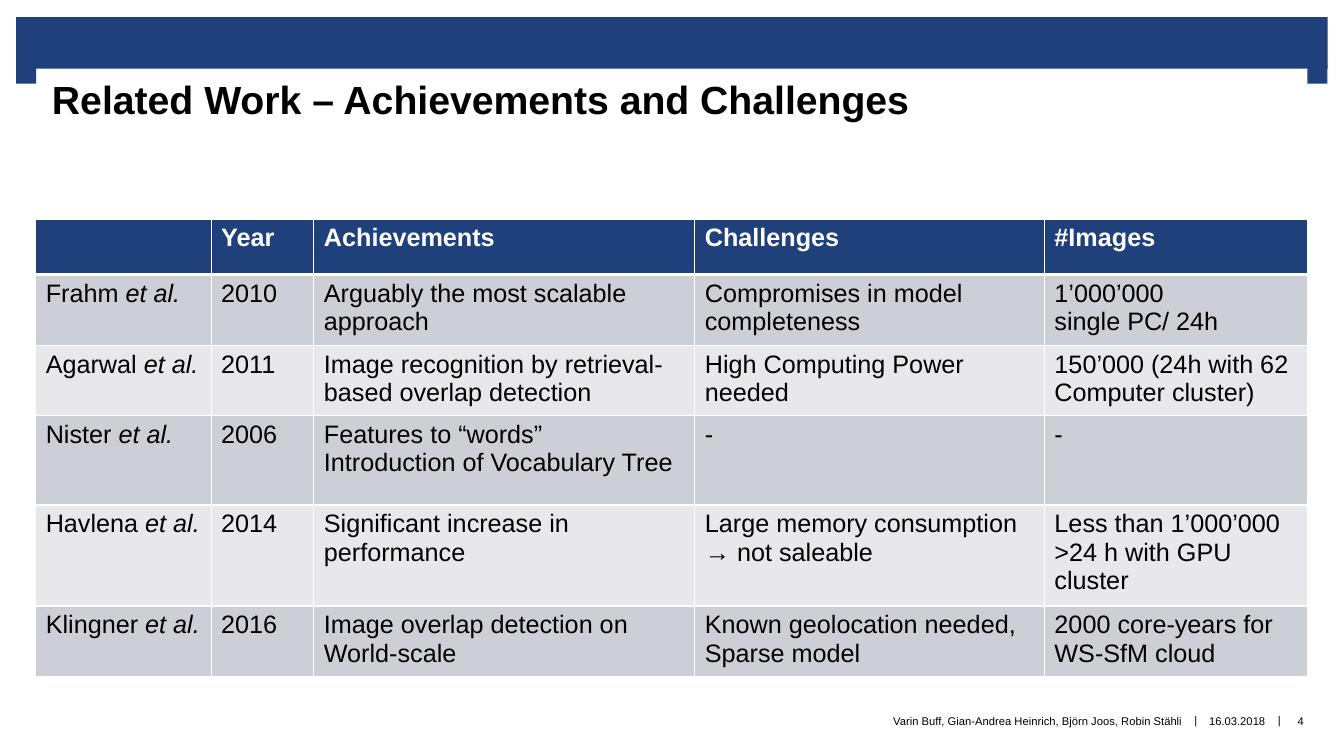
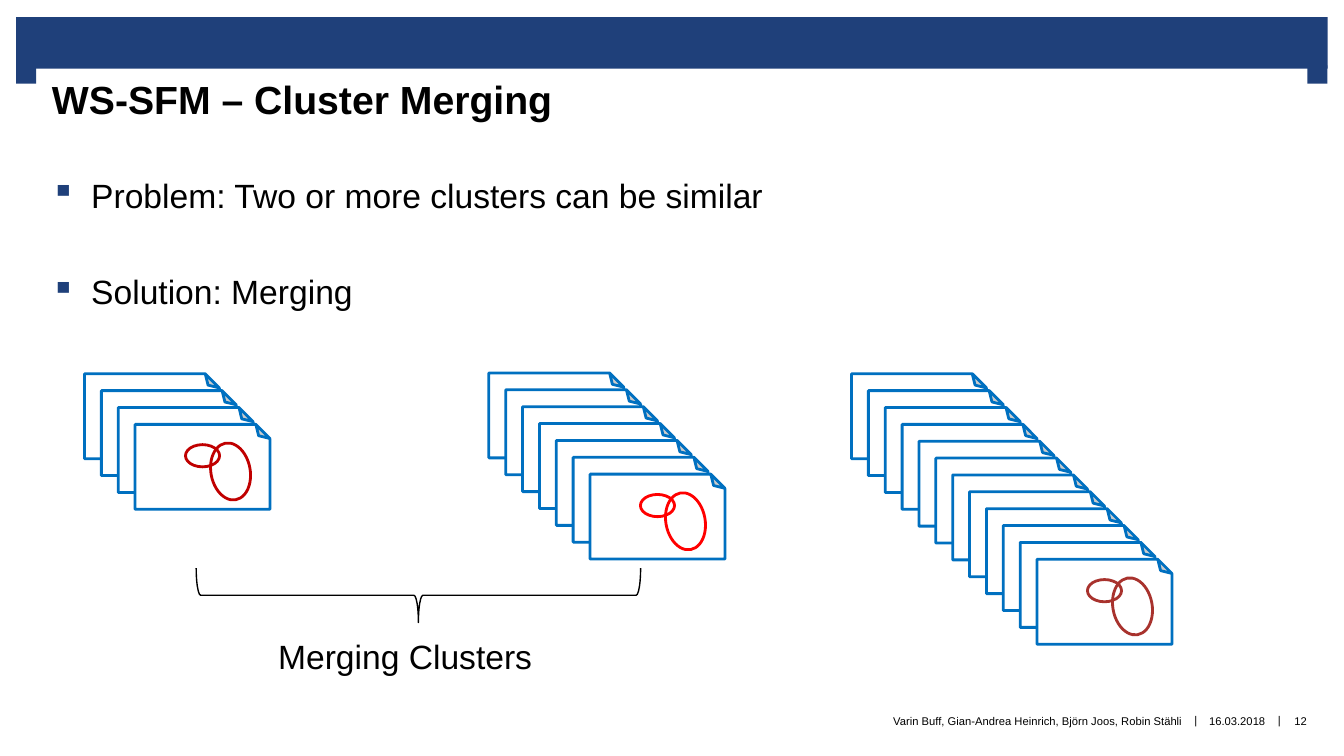
from dataclasses import dataclass

from lxml.etree import SubElement
from pptx import Presentation
from pptx.dml.color import RGBColor as Rgb
from pptx.enum.shapes import MSO_SHAPE as Form
from pptx.enum.text import MSO_ANCHOR as Anchor, PP_ALIGN as Align
from pptx.oxml import parse_xml
from pptx.oxml.ns import nsdecls, qn
from pptx.util import Cm, Pt


@dataclass(frozen=True)
class Theme:
    face: str = "Arial"
    navy: str = "1F407A"
    white: str = "FFFFFF"
    black: str = "000000"
    dark: str = "CDCFD7"
    light: str = "E8E8EC"
    blue: str = "0070C0"
    head: int = 28
    body: int = 24
    cell: int = 18
    foot: int = 8


T = Theme()
LEFT, WIDE = 0.9, 32.05
BANDS = [(0.41, 0.43, 33.05, 1.3), (0.41, 1.65, 0.5, 0.46), (32.95, 1.65, 0.5, 0.46)]
NAMES = "Varin Buff, Gian-Andrea Heinrich, Björn Joos, Robin Stähli"
DATE = "16.03.2018"
COLS = [4.42, 2.59, 9.6, 8.81, 6.63]
ROWS = [1.4, 1.6, 1.6, 2.25, 1.6, 1.6]
HEADS = ["", "Year", "Achievements", "Challenges", "#Images"]
WORKS = [
    ["Frahm ", "2010", "Arguably the most scalable approach",
     "Compromises in model completeness", "1’000’000\nsingle PC/ 24h"],
    ["Agarwal ", "2011", "Image recognition by retrieval-based overlap detection",
     "High Computing Power needed", "150’000 (24h with 62 Computer cluster)"],
    ["Nister ", "2006", "Features to “words”\nIntroduction of Vocabulary Tree", "-", "-"],
    ["Havlena ", "2014", "Significant increase in performance",
     "Large memory consumption → not saleable",
     "Less than 1’000’000\n>24 h with GPU cluster"],
    ["Klingner ", "2016", "Image overlap detection on World-scale",
     "Known geolocation needed,\nSparse model", "2000 core-years for WS-SfM cloud"],
]
STACKS = [(2.13, 9.42, 4, "C00000"), (12.32, 9.4, 7, "FF0000"), (21.46, 9.42, 12, "A8322D")]
STEP = 0.425


def place(box):
    return [Cm(v) for v in box]


def style(para, size, tint=T.black, bold=False):
    font = para.font
    font.name, font.size, font.bold = T.face, Pt(size), bold
    font.color.rgb = Rgb.from_string(tint)


def inset(frame, left=0.0, top=0.0, right=0.0):
    frame.margin_left, frame.margin_top = Cm(left), Cm(top)
    frame.margin_right, frame.margin_bottom = Cm(right), 0


def shape(slide, form, box, fill=None, line=None, width=2, turn=0):
    item = slide.shapes.add_shape(form, *place(box))
    item.shadow.inherit = False
    item.rotation = turn
    if fill:
        item.fill.solid()
        item.fill.fore_color.rgb = Rgb.from_string(fill)
    else:
        item.fill.background()
    if line:
        item.line.color.rgb = Rgb.from_string(line)
        item.line.width = Pt(width)
    else:
        item.line.fill.background()
    return item


def label(slide, text, box, align=Align.CENTER):
    frame = slide.shapes.add_textbox(*place(box)).text_frame
    frame.word_wrap = False
    frame.vertical_anchor = Anchor.MIDDLE
    inset(frame)
    frame.text = text
    para = frame.paragraphs[0]
    para.alignment = align
    style(para, T.foot)


def text(slide, lines, box, mark=False, gap=0):
    frame = slide.shapes.add_textbox(*place(box)).text_frame
    frame.word_wrap = True
    inset(frame, 0.38, 0, 0.41)
    frame.text = "\n".join(lines)
    for i, para in enumerate(frame.paragraphs):
        if mark:
            bullet(para)
        if i:
            para.space_before = Pt(gap)
        style(para, T.body)


def bullet(para):
    props = para._p.get_or_add_pPr()
    props.set("marL", str(Cm(1.02)))
    props.set("indent", str(-Cm(1.02)))
    tint = SubElement(props, qn("a:buClr"))
    SubElement(tint, qn("a:srgbClr"), val=T.navy)
    SubElement(props, qn("a:buChar"), char="▪")


def border(cell, top, base):
    props = cell._tc.get_or_add_tcPr()
    edges = [("L", 1), ("R", 1), ("T", top), ("B", base)]
    for i, (side, width) in enumerate(edges):
        props.insert(i, parse_xml(
            f'<a:ln{side} {nsdecls("a")} w="{Pt(width)}"><a:solidFill>'
            f'<a:srgbClr val="{T.white}"/></a:solidFill></a:ln{side}>'))


def fill_cell(cell, words, row, col):
    cell.text = words
    if row and not col:
        run = cell.text_frame.paragraphs[0].add_run()
        run.text = "et al."
        run.font.italic = True
    for para in cell.text_frame.paragraphs:
        style(para, T.cell, T.black if row else T.white, not row)
    cell.fill.solid()
    tint = (T.dark if row % 2 else T.light) if row else T.navy
    cell.fill.fore_color.rgb = Rgb.from_string(tint)
    border(cell, 3 if row == 1 else 1, 1 if row else 3)


def grid(slide, data):
    box = place((LEFT, 5.52, sum(COLS), sum(ROWS)))
    table = slide.shapes.add_table(len(data), len(COLS), *box).table
    for col, width in zip(table.columns, COLS):
        col.width = Cm(width)
    for r, (line, high) in enumerate(zip(data, ROWS)):
        table.rows[r].height = Cm(high)
        for c, words in enumerate(line):
            fill_cell(table.cell(r, c), words, r, c)


def stack(slide, left, top, count, tint):
    for i in range(count):
        x, y = left + i * STEP, top + i * STEP
        card = shape(slide, Form.FOLDED_CORNER, (x, y, 3.4, 2.14), T.white, T.blue)
        card._element.spPr.xfrm.set("flipV", "1")
    shape(slide, Form.OVAL, (x + 1.27, y + 0.51, 0.86, 0.56), line=tint)
    shape(slide, Form.OVAL, (x + 1.68, y + 0.69, 1.45, 0.99), line=tint, turn=79.6)


def start(deck, name, page):
    slide = deck.slides.add_slide(deck.slide_layouts[5])
    for box in BANDS:
        shape(slide, Form.RECTANGLE, box, T.navy)
    title = slide.shapes.title
    title.left, title.top, title.width, title.height = place((LEFT, 1.74, WIDE, 2.68))
    frame = title.text_frame
    frame.vertical_anchor = Anchor.TOP
    inset(frame, 0.41, 0.15, 0.41)
    frame.text = name
    para = frame.paragraphs[0]
    para.alignment = Align.LEFT
    style(para, T.head, bold=True)
    label(slide, NAMES, (16.92, 17.52, 12.88, 1.3), Align.RIGHT)
    label(slide, DATE, (30.33, 17.52, 1.7, 1.3))
    label(slide, page, (32.28, 17.52, 1, 1.3))
    for x in (29.95, 32.05):
        label(slide, "|", (x, 17.5, 0.38, 1.3))
    return slide


def main():
    deck = Presentation()
    deck.slide_width, deck.slide_height = Cm(33.87), Cm(19.05)

    slide = start(deck, "Related Work – Achievements and Challenges", "4")
    grid(slide, [HEADS, *WORKS])

    slide = start(deck, "WS-SFM – Cluster Merging", "12")
    points = ["Problem: Two or more clusters can be similar", "Solution: Merging"]
    text(slide, points, (LEFT, 4.4, WIDE, 4), mark=True, gap=40)
    for item in STACKS:
        stack(slide, *item)
    text(slide, ["Merging Clusters"], (6.63, 16.03, 8.3, 1.7))
    shape(slide, Form.LEFT_BRACE, (9.86, 9.4, 1.37, 11.2), line=T.black, width=1, turn=270)

    deck.save("out.pptx")


if __name__ == "__main__":
    main()
